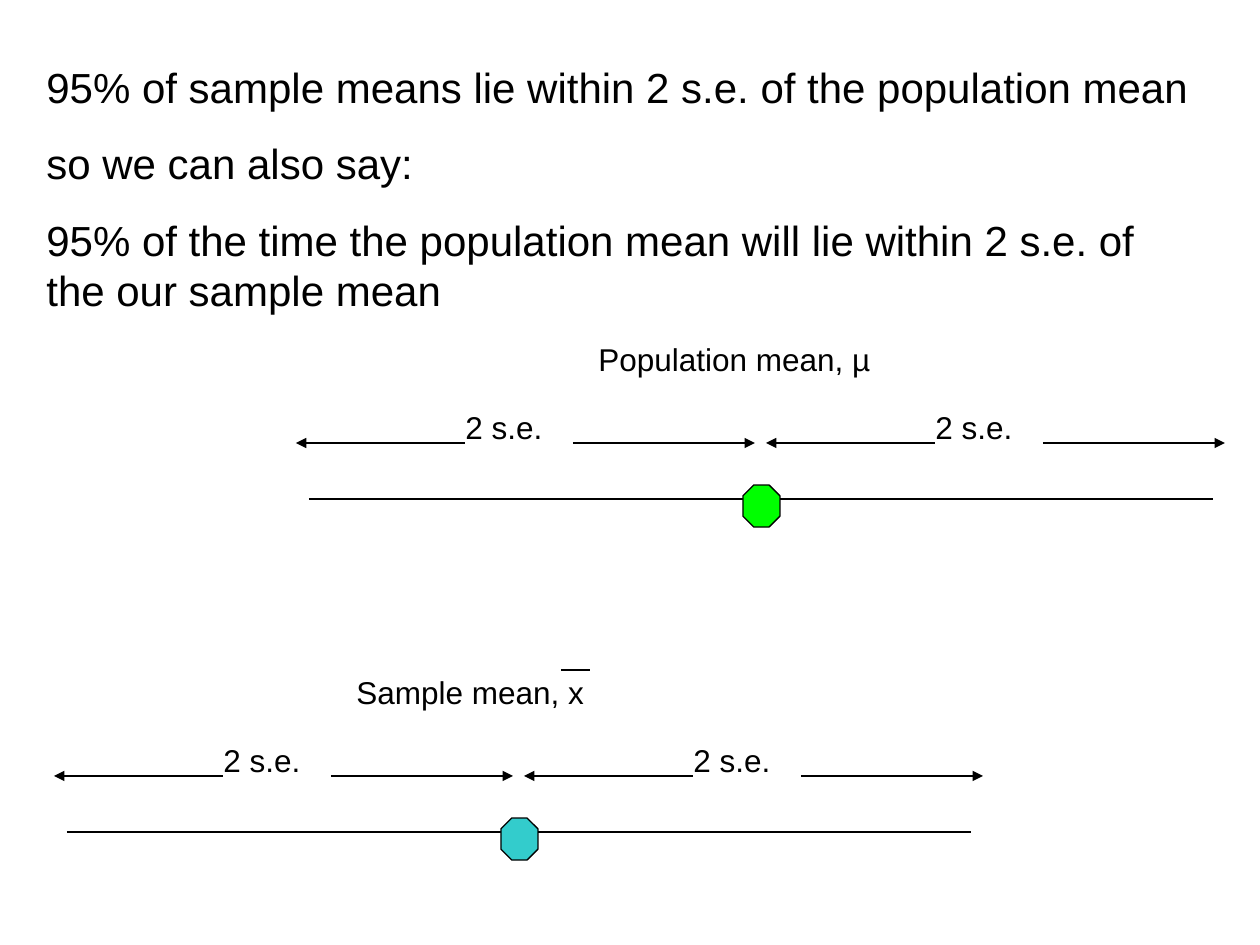
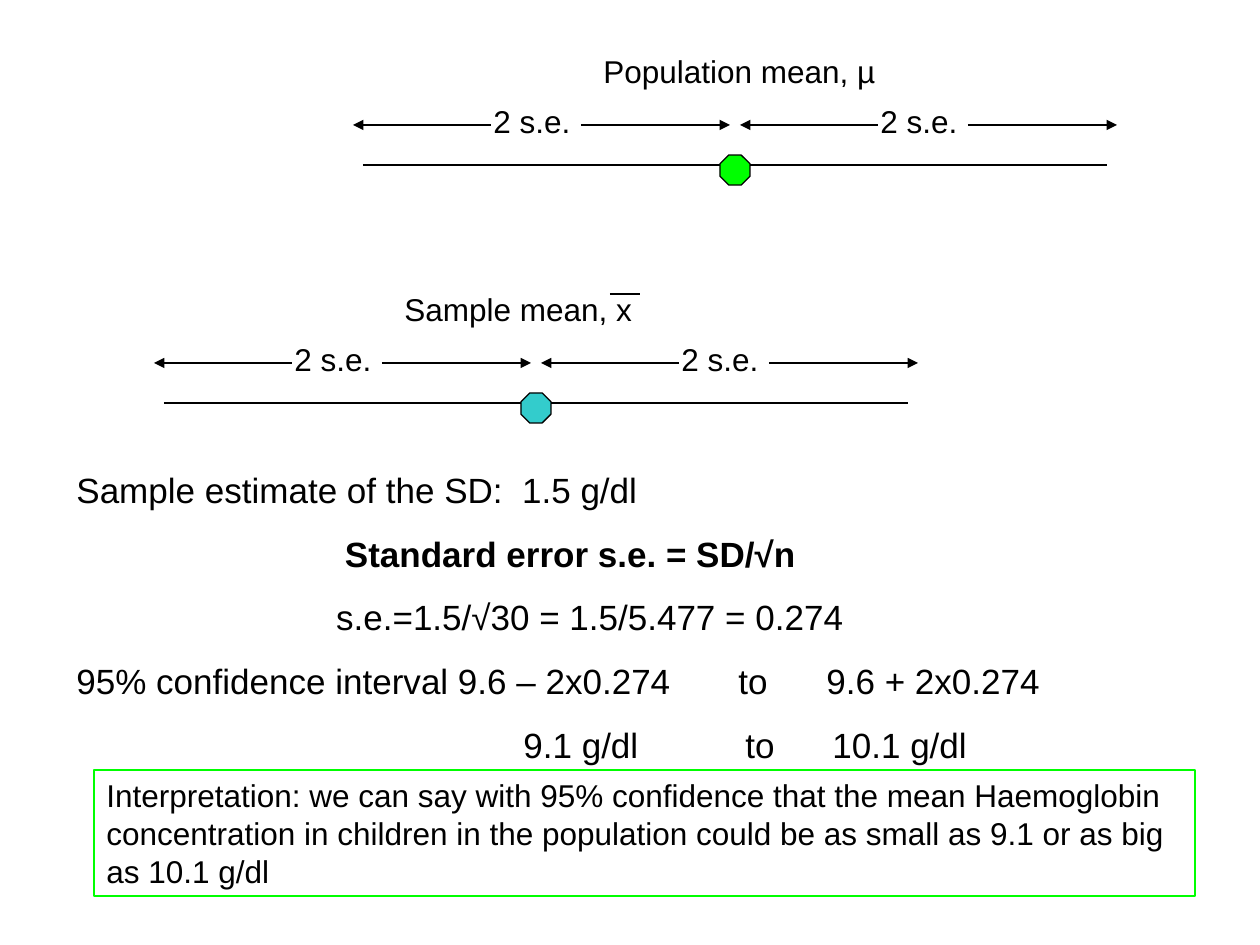
from lxml import etree
from pptx import Presentation
from pptx.dml.color import RGBColor
from pptx.enum.shapes import MSO_CONNECTOR, MSO_SHAPE
from pptx.enum.text import MSO_AUTO_SIZE, PP_ALIGN
from pptx.oxml.ns import qn
from pptx.util import Pt

PX = 914400 // 126
BLACK = RGBColor(0x00, 0x00, 0x00)
GREEN = RGBColor(0x00, 0xFF, 0x00)
TEAL = RGBColor(0x33, 0xCC, 0xCC)
FONT = "Arial"
STRAIGHT = MSO_CONNECTOR.STRAIGHT
OCTAGON = MSO_SHAPE.OCTAGON
FIT = MSO_AUTO_SIZE.SHAPE_TO_FIT_TEXT
LEFT, CENTER = PP_ALIGN.LEFT, PP_ALIGN.CENTER


def add_text(s, x, y, w, h, lines, size, before):
    sp = s.shapes.add_textbox(x * PX, y * PX, w * PX, h * PX)
    tf = sp.text_frame
    tf.word_wrap = True
    tf.auto_size = FIT
    tf.text = "\n".join(lines)
    for p in tf.paragraphs:
        p.alignment = LEFT
        p.space_before = Pt(before)
        for r in p.runs:
            r.font.name = FONT
            r.font.size = Pt(size)
            r.font.color.rgb = BLACK
    return sp


def add_line(s, x1, x2, y, arrow=False):
    sp = s.shapes.add_connector(STRAIGHT, x1 * PX, y * PX, x2 * PX, y * PX)
    sp.line.color.rgb = BLACK
    sp.line.width = Pt(0.75)
    if arrow:
        etree.SubElement(sp.line._ln, qn("a:tailEnd"), type="triangle")
    etree.SubElement(sp._element.spPr, qn("a:effectLst"))


prs = Presentation()
prs.slide_width = 1260 * PX
prs.slide_height = 945 * PX
blank = prs.slide_layouts[6]

large = dict(half_axis=452, step=470, arrows=[(-296, -465), (-188, -6)], arrow_up=56,
             se_x=-308, se_up=97, se_w=145, label_x=-175, label_up=165, label_w=483,
             dot_w=37, dot_h=42, dot_up=14)
small = dict(half_axis=372, step=387, arrows=[(-244, -382), (-154, -5)], arrow_up=40,
             se_x=-254, se_up=69, se_w=118, label_x=-144, label_up=119, label_w=397,
             dot_w=30, dot_h=30, dot_up=10)
slides = [
    (large, [("Sample mean, x", TEAL, 519, 832), ("Population mean, µ", GREEN, 761, 499)],
     (561, 590, 670)),
    (small, [("Sample mean, x", TEAL, 536, 403), ("Population mean, µ", GREEN, 735, 165)],
     (610, 640, 294)),
]

for d, means, x_bar in slides:
    s = prs.slides.add_slide(blank)
    for label, color, cx, y in means:
        add_line(s, cx - d["half_axis"], cx + d["half_axis"], y)
        sp = s.shapes.add_shape(OCTAGON, (cx - d["dot_w"] // 2) * PX, (y - d["dot_up"]) * PX,
                                d["dot_w"] * PX, d["dot_h"] * PX)
        sp.shadow.inherit = False
        sp.fill.solid()
        sp.fill.fore_color.rgb = color
        sp.line.color.rgb = BLACK
        sp.line.width = Pt(0.75)
        add_text(s, cx + d["label_x"], y - d["label_up"], d["label_w"], 50, [label], 18, 11.2)
        for x in (cx, cx + d["step"]):
            for start, end in d["arrows"]:
                add_line(s, x + start, x + end, y - d["arrow_up"], arrow=True)
            add_text(s, x + d["se_x"], y - d["se_up"], d["se_w"], 50, ["2 s.e."], 18, 11.2)
    add_line(s, *x_bar)

statement, working = prs.slides

add_text(statement, 34, 55, 1181, 267, [
    "95% of sample means lie within 2 s.e. of the population mean",
    "so we can also say:",
    "95% of the time the population mean will lie within 2 s.e. of the our sample mean",
], 24, 15)

sp = add_text(working, 64, 462, 1052, 310, [
    "Sample estimate of the SD:  1.5 g/dl",
    "\tStandard error s.e. = SD/√n",
    "s.e.=1.5/√30 = 1.5/5.477 = 0.274",
    "95% confidence interval 9.6 – 2x0.274\tto\t9.6 + 2x0.274",
    "\t9.1 g/dl\tto\t10.1 g/dl",
], 20, 12.5)
paragraphs = sp.text_frame.paragraphs
for r in paragraphs[1].runs:
    r.font.bold = True
paragraphs[2].alignment = CENTER
for i, kind, stops in [(1, "ctr", [494]), (3, "l", [662, 750]), (4, "l", [447, 669, 756])]:
    tabs = etree.SubElement(paragraphs[i]._p.get_or_add_pPr(), qn("a:tabLst"))
    for stop in stops:
        etree.SubElement(tabs, qn("a:tab"), pos=str(stop * PX), algn=kind)

sp = add_text(working, 94, 770, 1101, 126, [
    "Interpretation: we can say with 95% confidence that the mean Haemoglobin concentration "
    "in children in the population could be as small as 9.1 or as big as 10.1 g/dl",
], 18, 11.2)
sp.line.color.rgb = GREEN
sp.line.width = Pt(0.75)

prs.save("out.pptx")
